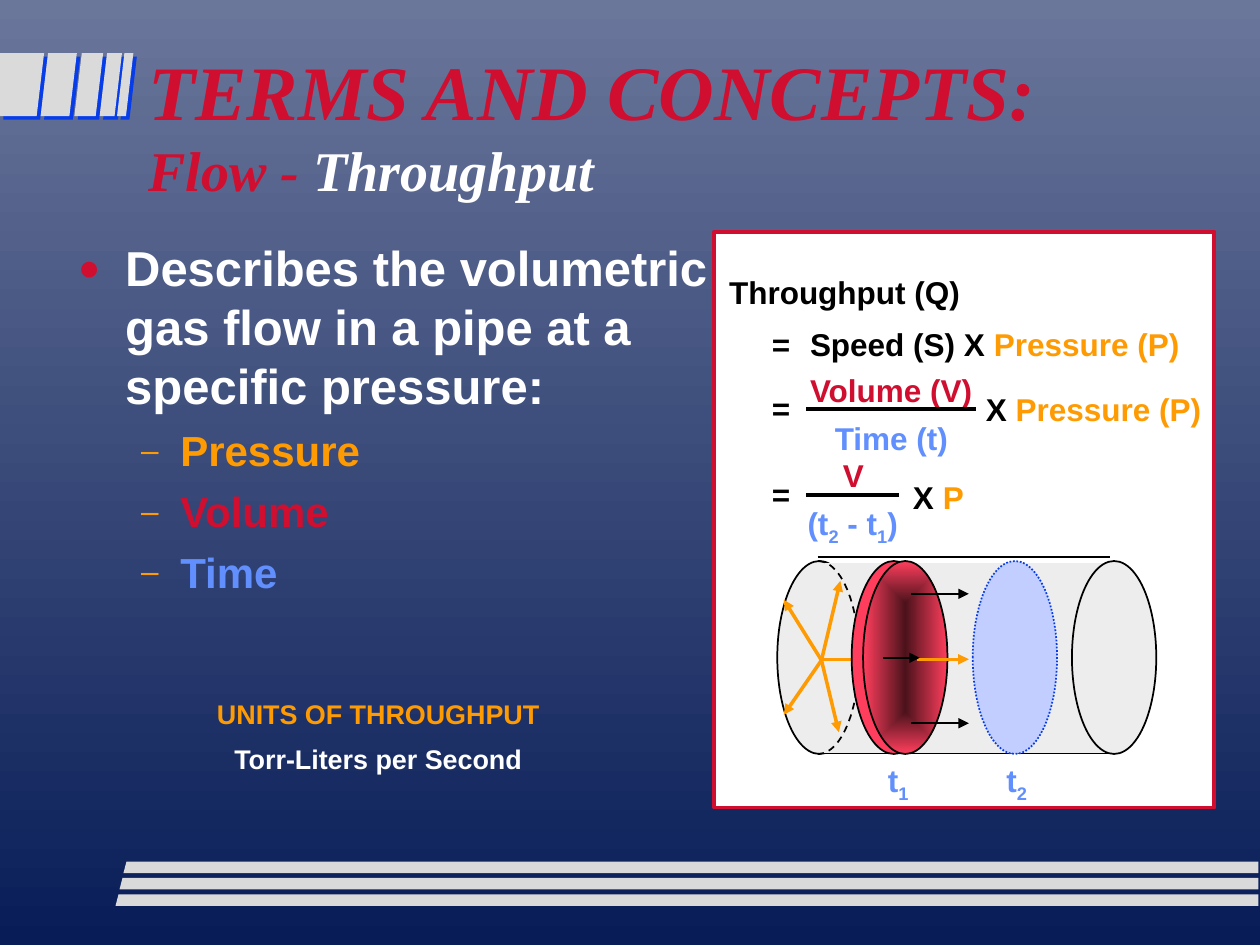
from dataclasses import dataclass

from lxml.etree import SubElement
from pptx import Presentation
from pptx.dml.color import RGBColor
from pptx.enum.dml import MSO_LINE
from pptx.enum.shapes import MSO_CONNECTOR, MSO_SHAPE
from pptx.enum.text import MSO_ANCHOR, MSO_AUTO_SIZE, PP_ALIGN
from pptx.oxml.ns import qn
from pptx.util import Cm, Pt


@dataclass(frozen=True)
class Theme:
    sky: str = "6A769A"
    navy: str = "081D58"
    silver: str = "DADADA"
    blue: str = "063DE8"
    red: str = "CF0E30"
    orange: str = "FE9B03"
    light_blue: str = "618FFD"
    white: str = "FFFFFF"
    black: str = "000000"
    pipe: str = "EDEDED"
    disc: str = "FF3E5D"
    disc_core: str = "4B121B"
    marker: str = "C1CEFF"
    serif: str = "Times New Roman"
    sans: str = "Arial"
    title: float = 44
    subtitle: float = 32
    level1: float = 28
    level2: float = 24
    formula: float = 18
    units: float = 15.4


T = Theme()
rgb = RGBColor.from_string


def add_run(p, text, color, size, name=T.sans, italic=False, sub=False):
    r = p.add_run()
    r.text = text
    fmt = dict(name=name, size=Pt(size), bold=True, italic=italic)
    for key, value in fmt.items():
        setattr(r.font, key, value)
    r.font.color.rgb = rgb(color)
    if sub:
        r.font._element.set("baseline", "-25000")


def set_bullet(p, char=None, color=None, margin=0, hang=0):
    pPr = p._p.get_or_add_pPr()
    pPr.set("marL", str(Cm(margin)))
    pPr.set("indent", str(-Cm(hang)))
    if char is None:
        SubElement(pPr, qn("a:buNone"))
        return
    SubElement(SubElement(pPr, qn("a:buClr")), qn("a:srgbClr")).set("val", color)
    SubElement(pPr, qn("a:buSzPct")).set("val", "75000")
    SubElement(pPr, qn("a:buFont")).set("typeface", T.sans)
    SubElement(pPr, qn("a:buChar")).set("char", char)


def place(sp, box, anchor=MSO_ANCHOR.TOP):
    """Move a placeholder to box and return its text frame."""
    for key, value in zip(("left", "top", "width", "height"), box):
        setattr(sp, key, Cm(value))
    tf = sp.text_frame
    fmt = dict(word_wrap=True, auto_size=MSO_AUTO_SIZE.NONE, vertical_anchor=anchor)
    for key, value in fmt.items():
        setattr(tf, key, value)
    return tf


def next_paragraph(tf, i, before):
    p = tf.add_paragraph() if i else tf.paragraphs[0]
    p.space_before = Pt(before if i else 0)
    return p


def add_label(shapes, x, y, w, runs, h=1.02):
    """Add a line of formula text; each run is (text, colour[, is subscript])."""
    slack = 0.3  # keeps each label on one line
    tf = shapes.add_textbox(Cm(x), Cm(y), Cm(w + slack), Cm(h)).text_frame
    tf.word_wrap = True
    tf.auto_size = MSO_AUTO_SIZE.NONE
    for text, color, *sub in runs:
        add_run(tf.paragraphs[0], text, color, T.formula, sub=bool(sub))


def add_line(shapes, x1, y1, x2, y2, color=T.black, width=1, arrow=False):
    ln = shapes.add_connector(MSO_CONNECTOR.STRAIGHT, Cm(x1), Cm(y1), Cm(x2), Cm(y2))
    ln.line.color.rgb = rgb(color)
    ln.line.width = Pt(width)
    if arrow:
        SubElement(ln.line._get_or_add_ln(), qn("a:tailEnd")).set("type", "triangle")
    SubElement(ln._element.spPr, qn("a:effectLst"))


def add_shape(shapes, kind, x, y, w, h, fill=None, line=T.black, width=1, dash=None):
    sp = shapes.add_shape(kind, Cm(x), Cm(y), Cm(w), Cm(h))
    sp.shadow.inherit = False
    if fill:
        sp.fill.solid()
        sp.fill.fore_color.rgb = rgb(fill)
    else:
        sp.fill.background()
    sp.line.color.rgb = rgb(line)
    sp.line.width = Pt(width)
    if dash:
        sp.line.dash_style = dash
    return sp


def add_polygon(shapes, points):
    start, *rest = [(Cm(x), Cm(y)) for x, y in points]
    fb = shapes.build_freeform(*start)
    fb.add_line_segments(rest, close=True)
    sp = fb.convert_to_shape()
    sp.shadow.inherit = False
    sp.fill.solid()
    sp.fill.fore_color.rgb = rgb(T.silver)
    sp.line.fill.background()
    return sp


def add_gradient(fill, colors):
    fill.gradient()
    for stop, color in zip(fill.gradient_stops, colors):
        stop.color.rgb = rgb(color)


def add_tabs(shapes, x, y, height, slant=0.15):
    for left, right in ((0, 0.89), (0.97, 1.55), (1.65, 2.08), (2.16, 2.46), (2.51, 2.69)):
        foot = max(left - slant, 0)
        sp = add_polygon(shapes, [(x + left, y), (x + right, y),
                                  (x + right - slant, y + height), (x + foot, y + height)])
        shadow = SubElement(sp._element.spPr.find(qn("a:effectLst")), qn("a:outerShdw"))
        for key, value in dict(dist=Pt(2.8), dir=45 * 60000, algn="ctr", rotWithShape=0).items():
            shadow.set(key, str(value))
        SubElement(shadow, qn("a:srgbClr")).set("val", T.blue)


def add_stripes(shapes, x, y, right, height=0.23, pitch=0.33, slant=0.06):
    for i in range(3):
        left, top = x - 0.08 * i, y + pitch * i
        add_polygon(shapes, [(left, top + height), (right, top + height),
                             (right, top), (left + slant, top)])


def fill_title(sp, box):
    p = place(sp, box, MSO_ANCHOR.MIDDLE).paragraphs[0]
    p.alignment = PP_ALIGN.LEFT
    add_run(p, "TERMS AND CONCEPTS:", T.red, T.title, T.serif, True)
    p.add_line_break()
    add_run(p, "Flow - ", T.red, T.subtitle, T.serif, True)
    add_run(p, "Throughput", T.white, T.subtitle, T.serif, True)


def fill_list(sp, box):
    tf = place(sp, box)
    items = [("Describes the volumetric gas flow in a pipe at a specific pressure:", T.white, 0),
             ("Pressure", T.orange, 1), ("Volume", T.red, 1), ("Time", T.light_blue, 1)]
    bullets = [("●", T.red, 0.95, 0.95), ("–", T.orange, 2.06, 0.79)]
    for i, (text, color, level) in enumerate(items):
        p = next_paragraph(tf, i, 6)
        p.level = level
        set_bullet(p, *bullets[level])
        add_run(p, text, color, (T.level1, T.level2)[level])


def fill_units(sp, box):
    tf = place(sp, box)
    lines = [("UNITS OF THROUGHPUT", T.orange), ("Torr-Liters per Second", T.white)]
    for i, (text, color) in enumerate(lines):
        p = next_paragraph(tf, i, 7)
        p.alignment = PP_ALIGN.CENTER
        set_bullet(p)
        add_run(p, text, color, T.units)


def add_formulas(shapes, x, y, w, h):
    add_shape(shapes, MSO_SHAPE.RECTANGLE, x, y, w, h, T.white, T.red, 2.25)
    pressure = ("Pressure (P)", T.orange)
    labels = [
        (0.05, 0.71, 5.16, [("Throughput (Q)", T.black)]),
        (1.68, 1.75, 7.95, [("Speed (S) X ", T.black), pressure]),
        (1.68, 2.69, 3.81, [("Volume (V)", T.red)]),
        (2.18, 3.66, 2.79, [("Time (t)", T.light_blue)]),
        (5.05, 3.07, 5.03, [(" X ", T.black), pressure]),
        (2.34, 4.39, 0.94, [("V", T.red)]),
        (1.63, 5.36, 2.31, [("(t", T.light_blue), ("2", T.light_blue, True), (" - t", T.light_blue),
                            ("1", T.light_blue, True), (")", T.light_blue)], 1.12),
        (3.58, 4.85, 1.7, [(" X ", T.black), ("P", T.orange)]),
    ] + [(0.91, top, 0.86, [("=", T.black)]) for top in (1.75, 3.05, 4.78)]
    for dx, dy, *rest in labels:
        add_label(shapes, x + dx, y + dy, *rest)
    for right, dy in ((5.28, 3.58), (3.73, 5.31)):
        add_line(shapes, x + 1.85, y + dy, x + right, y + dy, width=2)


def add_pipe(shapes, x, y):
    def section(dx, fill, **fmt):
        return add_shape(shapes, MSO_SHAPE.OVAL, x + dx, y + 0.08, 1.7, 3.89, fill, **fmt)

    def line(x1, y1, x2, y2, *fmt):
        add_line(shapes, x + x1, y + y1, x + x2, y + y2, *fmt)

    section(0, T.pipe)
    add_shape(shapes, MSO_SHAPE.RECTANGLE, x + 0.86, y + 0.13, 5.84, 3.81, T.pipe, T.pipe)
    line(0.86, 3.96, 6.76, 3.96)
    section(5.94, T.pipe)
    rim = add_shape(shapes, MSO_SHAPE.ARC, x, y + 0.08, 1.65, 3.89, dash=MSO_LINE.DASH)
    rim.adjustments[0], rim.adjustments[1] = 162, 54  # from -90 to 90 degrees
    line(0.84, 2.06, 2.72, 2.06, T.orange, 2)
    section(1.5, T.disc)
    face = section(1.73, T.disc)
    add_gradient(face.fill, (T.disc_core, T.disc))
    grad = face._element.spPr.find(qn("a:gradFill"))
    grad.remove(grad.find(qn("a:lin")))
    radial = SubElement(grad, qn("a:path"))
    radial.set("path", "rect")
    center = SubElement(radial, qn("a:fillToRect"))
    for side in "ltrb":
        center.set(side, "50000")
    section(3.94, T.marker, line=T.blue, dash=MSO_LINE.ROUND_DOT)
    line(2.82, 2.06, 3.86, 2.06, T.orange, 2, True)
    for tip in ((1.27, 0.48), (1.24, 3.53), (0.13, 3.18), (0.13, 0.86)):
        line(0.89, 2.08, *tip, T.orange, 2, True)
    for x1, x2, dy in ((2.69, 3.86, 0.74), (2.13, 2.87, 2.03), (2.69, 3.86, 3.35)):
        line(x1, dy, x2, dy, T.black, 1, True)
    line(0.81, 0, 6.71, 0)
    for dx, number in ((1.98, "1"), (4.37, "2")):
        add_label(shapes, x + dx, y + 3.99, 0.91,
                  [("t", T.light_blue), (number, T.light_blue, True)], 1.12)


def main():
    prs = Presentation()
    prs.slide_width, prs.slide_height = Cm(25.4), Cm(19.05)
    s = prs.slides.add_slide(prs.slide_layouts[3])
    add_gradient(s.background.fill, (T.sky, T.navy))
    s.background.fill.gradient_angle = 270
    title, points, units = s.placeholders
    add_tabs(s.shapes, 0, 1.07, 1.27)
    add_stripes(s.shapes, 2.49, 17.37, 25.37)
    fill_title(title, (2.74, 0.84, 21.59, 3.28))
    fill_list(points, (1.32, 4.67, 13.28, 8.89))
    fill_units(units, (0.36, 13.94, 14.53, 1.88))
    add_formulas(s.shapes, 14.4, 4.67, 10.08, 11.61)
    add_pipe(s.shapes, 15.67, 11.23)
    prs.save("out.pptx")


if __name__ == "__main__":
    main()
